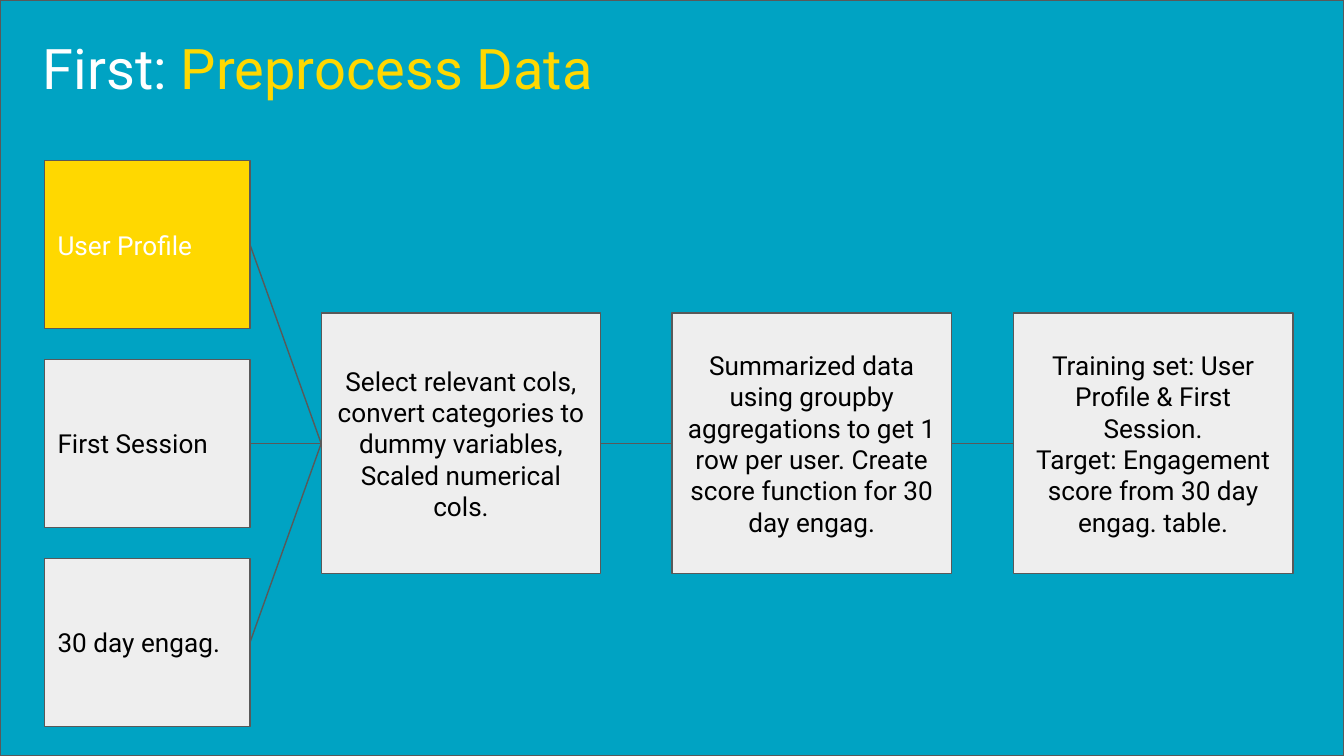
from dataclasses import dataclass

from pptx import Presentation
from pptx.dml.color import RGBColor as RGB
from pptx.enum.shapes import MSO_CONNECTOR as Connector, MSO_SHAPE as Shape
from pptx.enum.text import MSO_ANCHOR as Anchor, PP_ALIGN as Align
from pptx.oxml.ns import qn
from pptx.util import Inches, Pt


@dataclass(frozen=True)
class Theme:
    font: str = "Roboto"
    title_size: Pt = Pt(30)
    body_size: Pt = Pt(14)
    line_width: Pt = Pt(0.75)
    teal: RGB = RGB(0x00, 0xA3, 0xC3)
    yellow: RGB = RGB(0xFF, 0xD8, 0x00)
    pale: RGB = RGB(0xEE, 0xEE, 0xEE)
    outline: RGB = RGB(0x59, 0x59, 0x59)
    white: RGB = RGB(0xFF, 0xFF, 0xFF)
    black: RGB = RGB(0x00, 0x00, 0x00)


theme = Theme()
slide_width = 10
slide_height = slide_width * 9 / 16

deck = Presentation()
deck.slide_width, deck.slide_height = Inches(slide_width), Inches(slide_height)
slide = deck.slides.add_slide(deck.slide_layouts[6])


def add_box(left, top, width, height, fill, text="", color=theme.black, align=Align.LEFT):
    box = slide.shapes.add_shape(
        Shape.RECTANGLE, Inches(left), Inches(top), Inches(width), Inches(height)
    )
    box.shadow.inherit = False
    box.fill.solid()
    box.fill.fore_color.rgb = fill
    box.line.color.rgb = theme.outline
    box.line.width = theme.line_width
    frame = box.text_frame
    frame.word_wrap = True
    frame.vertical_anchor = Anchor.MIDDLE
    frame.margin_top = frame.margin_bottom = Inches(0.1)
    frame.text = text
    for paragraph in frame.paragraphs:
        paragraph.alignment = align
        paragraph.font.name = theme.font
        paragraph.font.size = theme.body_size
        paragraph.font.color.rgb = color
    return box


def join(source, target):
    link = slide.shapes.add_connector(Connector.STRAIGHT, 0, 0, 0, 0)
    link.begin_connect(source, 3)  # right side
    link.end_connect(target, 1)  # left side
    link.line.color.rgb = theme.outline
    link.line.width = theme.line_width
    properties = link._element.spPr
    properties.append(properties.makeelement(qn("a:effectLst"), {}))


# Backdrop
add_box(0, 0, slide_width, slide_height, theme.teal)

# Title
title = slide.shapes.add_textbox(Inches(0.22), Inches(0.05), Inches(5.4), Inches(0.9))
title.text_frame.word_wrap = True
title.text_frame.vertical_anchor = Anchor.MIDDLE
title.text_frame.margin_top = title.text_frame.margin_bottom = Inches(0.1)
heading = title.text_frame.paragraphs[0]
heading.font.name = theme.font
heading.font.size = theme.title_size
for words, color in [("First: ", theme.white), ("Preprocess Data", theme.yellow)]:
    run = heading.add_run()
    run.text = words
    run.font.color.rgb = color

# Source tables, stacked evenly around the axis of the flow
axis = 3.3
table_height, table_pitch = 1.25, 1.48
tables = [
    ("User Profile", theme.yellow, theme.white),
    ("First Session", theme.pale, theme.black),
    ("30 day engag.", theme.pale, theme.black),
]
sources = [
    add_box(0.33, axis + (row - 1) * table_pitch - table_height / 2,
            1.53, table_height, fill, name, color)
    for row, (name, fill, color) in enumerate(tables)
]

# Processing steps, left to right (\n starts a paragraph, \v breaks a line)
step_height = 1.94
step_texts = [
    (2.39, "Select relevant cols,\nconvert categories to dummy variables,\vScaled numerical cols."),
    (5, "Summarized data using groupby aggregations to get 1 row per user. "
        "Create score function for 30 day engag."),
    (7.54, "Training set: User Profile & First Session.\n"
           "Target: Engagement score from 30 day engag. table."),
]
steps = [
    add_box(left, axis - step_height / 2, 2.08, step_height, theme.pale, text, align=Align.CENTER)
    for left, text in step_texts
]

# Links: every table feeds the first step, then step to step
for table in sources:
    join(table, steps[0])
for step, following in zip(steps, steps[1:]):
    join(step, following)

deck.save("out.pptx")
